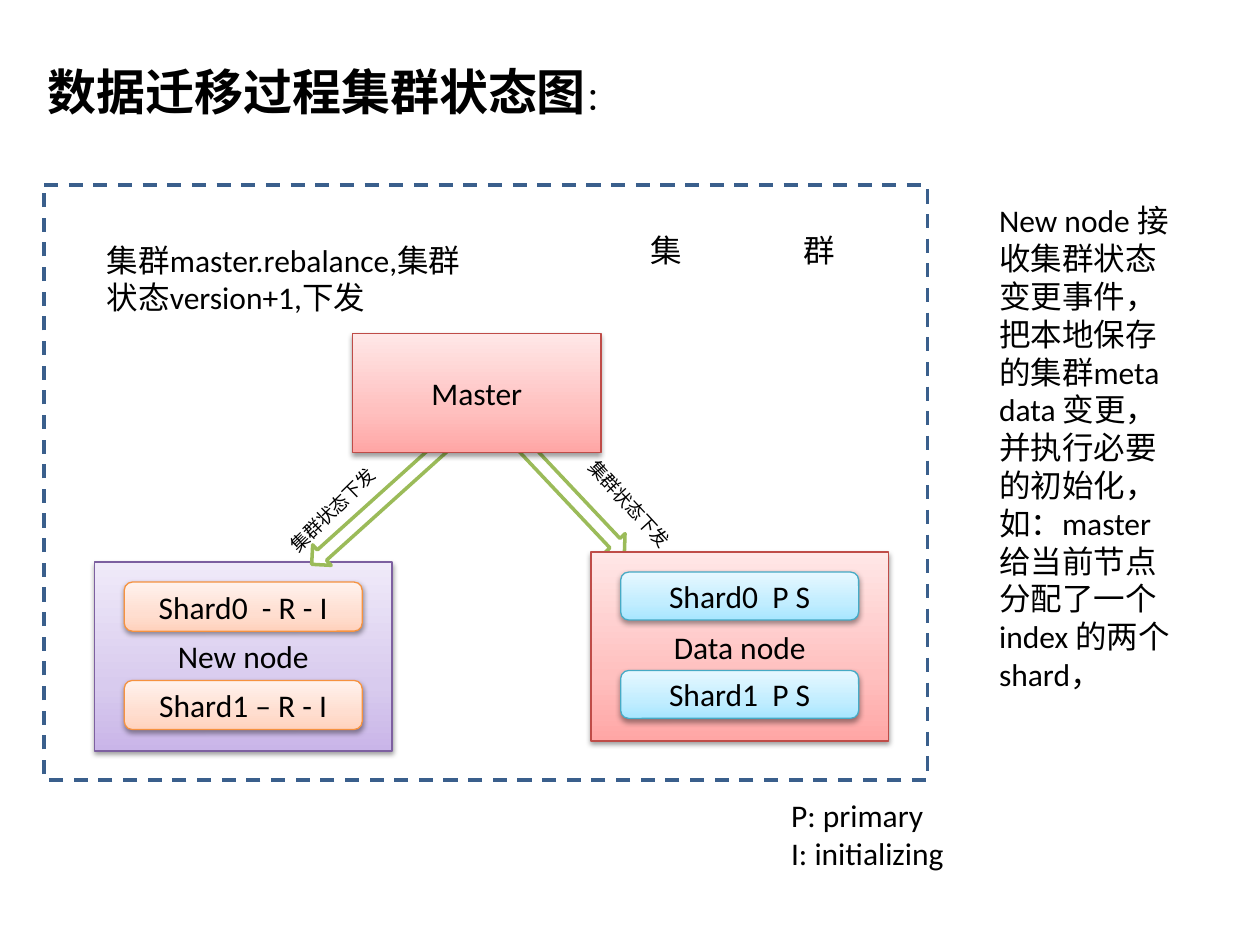
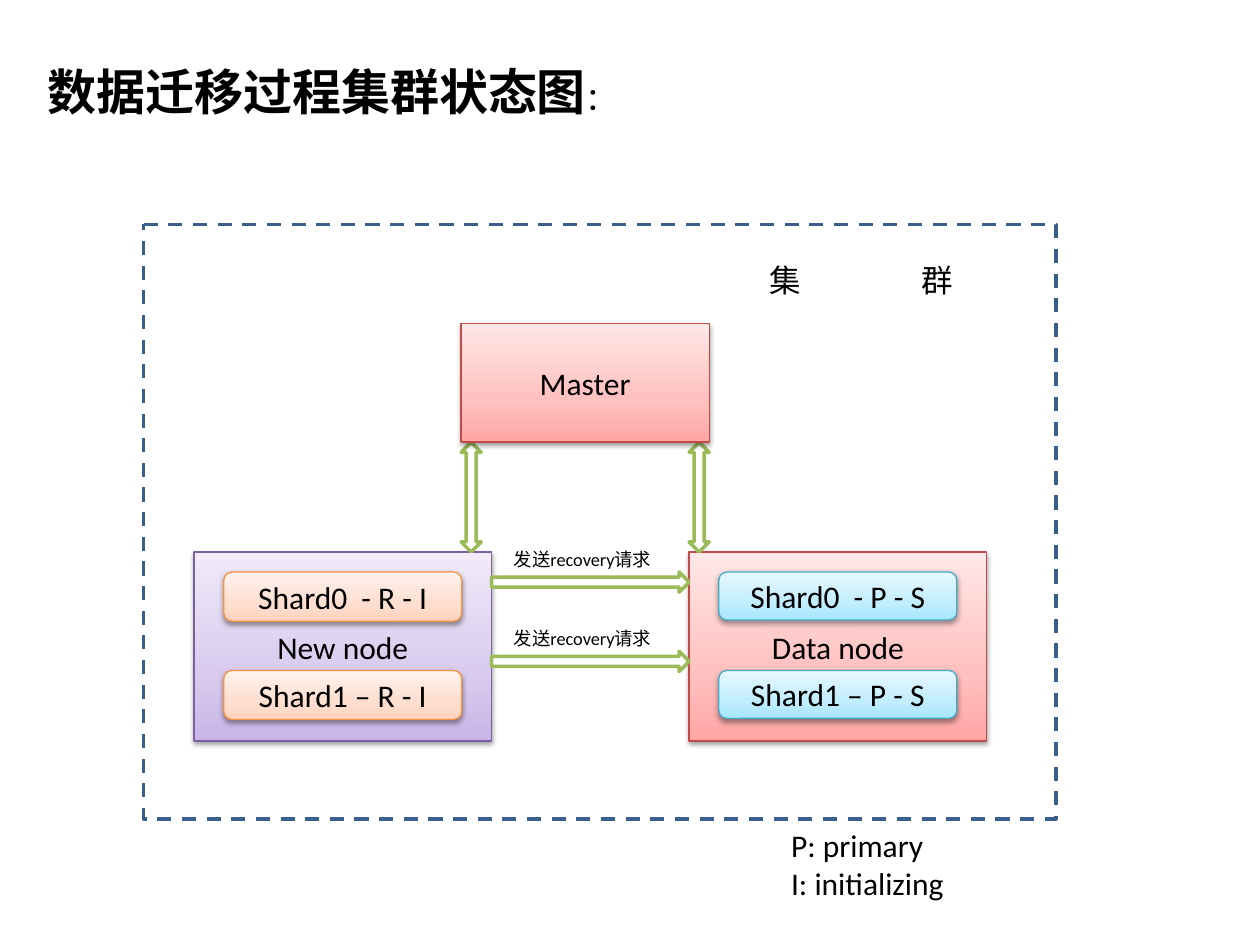
from lxml.etree import SubElement
from pptx import Presentation
from pptx.dml.color import RGBColor
from pptx.enum.dml import MSO_LINE
from pptx.enum.shapes import MSO_SHAPE
from pptx.enum.text import MSO_ANCHOR, PP_ALIGN
from pptx.oxml import parse_xml
from pptx.oxml.ns import qn
from pptx.util import Pt

FONT, INK, PAPER = "Calibri", "000000", "FFFFFF"
GREEN, NAVY = "9BBB59", "3A5F8C"
NS = "http://schemas.openxmlformats.org/drawingml/2006/main"

# tint: line colour, then gradient stops from bottom to top
TINTS = {
    "violet": ("7D60A0", "C9B5E8", "D8CBEE", "F0EAF9"),
    "red": ("BF4C48", "FFA6A5", "FFC0BF", "FFE7E7"),
    "blue": ("46AAC5", "A7E6FF", "C1EDFF", "E7F8FF"),
    "peach": ("F69240", "FFD2BD", "FFDED0", "FFF2ED"),
}
STOPS = (0, 35, 100)

TITLE = ("数据迁移过程集群状态图", "：")
LEGEND = ["P: primary", "I: initializing"]
CLUSTER = "集\t群"
SEND, ASK = "集群状态下发", "发送recovery请求"
RISE = "集群master.rebalance,集群状态version+1,下发"
EVENT = ("New node 接收集群状态变更事件，把本地保存的集群meta data 变更，"
         "并执行必要的初始化，如：master 给当前节点分配了一个index 的两个shard，")
FRESH = ("Shard0  - R - I", "Shard1 – R - I")

NODE_W, NODE_H = 170, 108
HEAD_W, HEAD_H = 141.8, 67.7
SHARD_W = 136
SHARD_X = (NODE_W - SHARD_W) / 2
SHARD_Y = (11.5, 67.7)
THIN = 11.5

FIRST = {
    "frame": (25.2, 105.8, 504.7, 339.8),
    "sign": (372, 128.2),
    "head": (201.6, 190.8),
    "fresh": (54, 321.1),
    "data": (337.7, 315.4),
    "shards": ("Shard0  P S", "Shard1  P S"),
    "legend": 451.4,
    "notes": [
        (RISE, (54, 133.9, 226.8, 51.1), 18, 0),
        (EVENT, (563.8, 111.6, 115.9, 290.9), 18, 0),
        (SEND, (149.8, 276.5, 90.7, 20.2), 10.5, 315.7),
        (SEND, (319, 283, 90.7, 20.2), 10.5, 47.3),
    ],
    "under": [("LEFT_ARROW", (270, 270.7, 103, 15.8), 226.7)],
    "over": [("LEFT_ARROW", (164.9, 280.1, 103, 15.8), 318)],
}
SECOND = {
    "frame": (82.1, 128.2, 521.3, 339.8),
    "sign": (439.6, 145.4),
    "head": (263.5, 185),
    "fresh": (110.9, 315.4),
    "data": (393.8, 315.4),
    "shards": ("Shard0  - P - S", "Shard1 – P - S"),
    "legend": 468.7,
    "notes": [(ASK, (286.6, y, 108, 20.2), 10.5, 0) for y in (309.6, 355)],
    "under": [],
    "over": [],
}
left = SECOND["fresh"][0] + NODE_W
foot = SECOND["head"][1] + HEAD_H
for y in (326.9, 372.2):
    SECOND["over"].append(
        ("RIGHT_ARROW", (left, y, SECOND["data"][0] - left, THIN), 0))
for x in (SECOND["head"][0], SECOND["head"][0] + HEAD_W - THIN):
    SECOND["over"].append(
        ("UP_DOWN_ARROW", (x, foot, THIN, SECOND["data"][1] - foot), 0))


def tone(code):
    return RGBColor.from_string(code)


def write(par, text, size=18, bold=False):
    run = par.add_run()
    run.text = text
    look = {"name": FONT, "size": Pt(size), "bold": bold}
    for key, val in look.items():
        setattr(run.font, key, val)
    run.font.color.rgb = tone(INK)


def label(slide, lines, box, size=18, turn=0):
    """Add a wrapped text box with one paragraph for each line."""
    item = slide.shapes.add_textbox(*map(Pt, box))
    item.rotation = turn
    frame = item.text_frame
    frame.word_wrap = True
    for i, line in enumerate(lines):
        par = frame.add_paragraph() if i else frame.paragraphs[0]
        write(par, line, size)
    return frame


def shape(slide, kind, box, line, width):
    item = slide.shapes.add_shape(getattr(MSO_SHAPE, kind), *map(Pt, box))
    item.shadow.inherit = False
    item.line.color.rgb = tone(line)
    item.line.width = Pt(width)
    return item


def block(slide, kind, box, text, tint):
    """Add a gradient box with a soft shadow and a centred caption."""
    line, *shades = TINTS[tint]
    item = shape(slide, kind, box, line, 0.75)
    stops = "".join(
        f'<a:gs pos="{pos * 1000}"><a:srgbClr val="{shade}"/></a:gs>'
        for pos, shade in zip(STOPS, shades))
    fill = parse_xml(
        f'<a:gradFill xmlns:a="{NS}" rotWithShape="1"><a:gsLst>{stops}'
        '</a:gsLst><a:lin ang="16200000" scaled="1"/></a:gradFill>')
    props = item.element.spPr
    props.find(qn("a:prstGeom")).addnext(fill)
    shade = SubElement(props.find(qn("a:effectLst")), qn("a:outerShdw"),
                       blurRad=str(Pt(3.1)), dist=str(Pt(1.6)),
                       dir="5400000", rotWithShape="0")
    ink = SubElement(shade, qn("a:srgbClr"), val=INK)
    SubElement(ink, qn("a:alpha"), val="38000")
    frame = item.text_frame
    frame.vertical_anchor = MSO_ANCHOR.MIDDLE
    par = frame.paragraphs[0]
    par.alignment = PP_ALIGN.CENTER
    write(par, text)


def arrows(slide, items):
    for kind, box, turn in items:
        item = shape(slide, kind, box, GREEN, 2)
        item.fill.solid()
        item.fill.fore_color.rgb = tone(PAPER)
        item.rotation = turn


def node(slide, spot, name, tint, shards, hue, high):
    x, y = spot
    block(slide, "FLOWCHART_PROCESS", (x, y, NODE_W, NODE_H), name, tint)
    for text, drop in zip(shards, SHARD_Y):
        block(slide, "FLOWCHART_ALTERNATE_PROCESS",
              (x + SHARD_X, y + drop, SHARD_W, high), text, hue)


def sign(slide, spot):
    """Add the cluster caption, its two characters set apart by a tab."""
    frame = label(slide, [CLUSTER], (*spot, 158, 28.8))
    frame.margin_left = Pt(0)
    props = frame.paragraphs[0]._p.get_or_add_pPr()
    tabs = SubElement(props, qn("a:tabLst"))
    SubElement(tabs, qn("a:tab"), pos=str(Pt(86.9)), algn="l")


def draw(slide, plan):
    frame = shape(slide, "FLOWCHART_PROCESS", plan["frame"], NAVY, 2)
    frame.fill.background()
    frame.line.dash_style = MSO_LINE.DASH
    title = label(slide, [], (20.2, 31.7, 686.2, 41)).paragraphs[0]
    write(title, TITLE[0], 28, True)
    write(title, TITLE[1])
    sign(slide, plan["sign"])
    arrows(slide, plan["under"])
    node(slide, plan["fresh"], "New node", "violet", FRESH, "peach", 28.1)
    node(slide, plan["data"], "Data node", "red", plan["shards"], "blue", 27.4)
    arrows(slide, plan["over"])
    block(slide, "FLOWCHART_PROCESS", (*plan["head"], HEAD_W, HEAD_H),
          "Master", "red")
    for text, box, size, turn in plan["notes"]:
        label(slide, [text], box, size, turn)
    label(slide, LEGEND, (445, plan["legend"], 244, 51.1))


def main():
    deck = Presentation()
    deck.slide_width, deck.slide_height = Pt(720), Pt(540)
    for plan in (FIRST, SECOND):
        draw(deck.slides.add_slide(deck.slide_layouts[6]), plan)
    deck.save("out.pptx")


if __name__ == "__main__":
    main()
